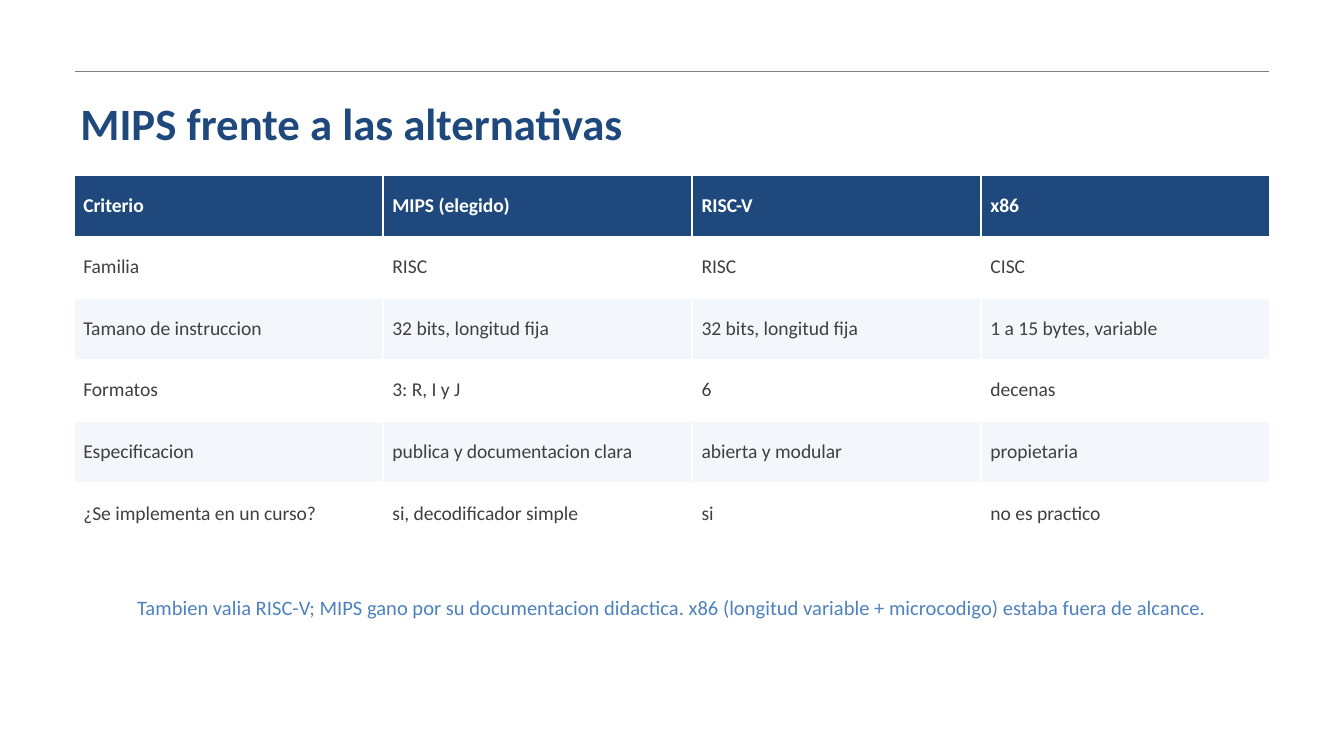
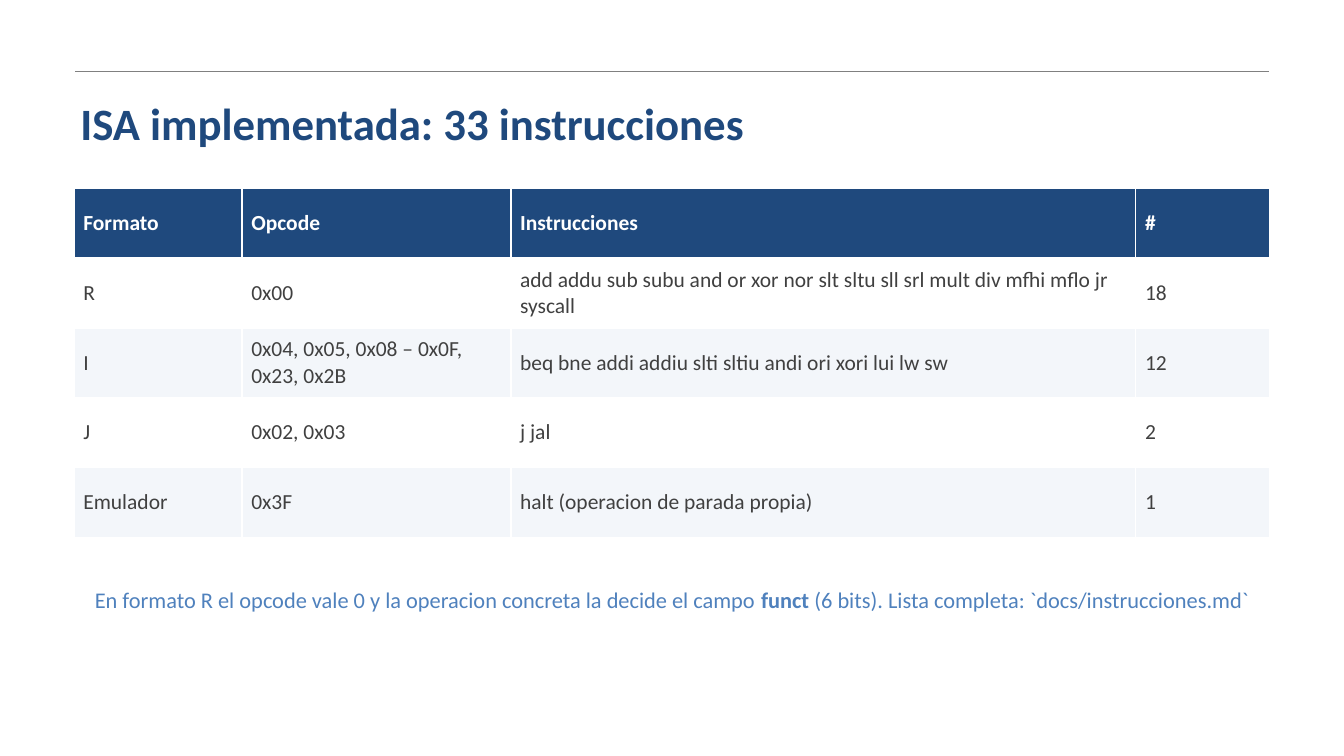
"""Build two slides that compare MIPS with its rivals and list its instruction set."""
from dataclasses import dataclass

from pptx import Presentation
from pptx import util as u
from pptx.dml import color
from pptx.enum import shapes, text
from pptx.oxml import ns
from lxml import etree


@dataclass(frozen=True)
class Theme:
    font: str = "Calibri"
    navy: str = "1F497D"
    blue: str = "4F81BD"
    body: str = "404040"
    rule: str = "808080"
    white: str = "FFFFFF"
    band: str = "F3F6FA"
    title_size: float = 24
    title_leading: float = 26
    note_leading: float = 1.05
    rule_width: float = 0.75
    left: float = 0.55
    width: float = 8.9


class SlideBuilder:
    def __init__(self, deck, theme):
        self.deck = deck
        self.theme = theme
        self.page = None

    def start(self, title):
        self.page = self.deck.slides.add_slide(self.deck.slide_layouts[6])
        self.rule(0.56, 9.44, 0.53)
        self.title(title)

    def style(self, paragraph, size, hue, bold=None):
        font = paragraph.font
        font.name = self.theme.font
        font.size = u.Pt(size)
        font.color.rgb = color.RGBColor.from_string(hue)
        font.bold = bold

    def rule(self, left, right, top):
        line = self.page.shapes.add_connector(
            shapes.MSO_CONNECTOR.STRAIGHT,
            u.Inches(left), u.Inches(top), u.Inches(right), u.Inches(top))
        line.line.color.rgb = color.RGBColor.from_string(self.theme.rule)
        line.line.width = u.Pt(self.theme.rule_width)
        etree.SubElement(line._element.spPr, ns.qn("a:effectLst"))

    def text_box(self, left, top, width, height):
        box = self.page.shapes.add_textbox(
            u.Inches(left), u.Inches(top), u.Inches(width), u.Inches(height))
        box.text_frame.word_wrap = True
        return box.text_frame

    def title(self, words):
        frame = self.text_box(0.5, 0.75, 9, 0.37)
        frame.vertical_anchor = text.MSO_ANCHOR.MIDDLE
        paragraph = frame.paragraphs[0]
        paragraph.text = words
        paragraph.line_spacing = u.Pt(self.theme.title_leading)
        self.style(paragraph, self.theme.title_size, self.theme.navy, True)

    def table(self, top, height, widths, size, rows):
        grid = self.page.shapes.add_table(
            len(rows), len(widths), u.Inches(self.theme.left), u.Inches(top),
            u.Inches(self.theme.width), u.Inches(height)).table
        for column, width in zip(grid.columns, widths):
            column.width = u.Inches(width)
        for index, values in enumerate(rows):
            for cell, value in zip(grid.rows[index].cells, values):
                self.cell(cell, value, size, index)

    def cell(self, cell, value, size, index):
        header = index == 0
        stripe = self.theme.white if index % 2 else self.theme.band
        cell.fill.solid()
        cell.fill.fore_color.rgb = color.RGBColor.from_string(
            self.theme.navy if header else stripe)
        cell.vertical_anchor = text.MSO_ANCHOR.MIDDLE
        cell.margin_left, cell.margin_right = u.Inches(0.07), u.Inches(0.06)
        cell.margin_top = cell.margin_bottom = u.Inches(0.03)
        paragraph = cell.text_frame.paragraphs[0]
        paragraph.text = value
        self.style(paragraph, size, self.theme.white if header else self.theme.body, header)

    def note(self, top, height, size, *spans):
        frame = self.text_box(self.theme.left, top, self.theme.width, height)
        frame.auto_size = text.MSO_AUTO_SIZE.SHAPE_TO_FIT_TEXT
        frame.margin_left = frame.margin_right = 0
        frame.margin_top = frame.margin_bottom = 0
        paragraph = frame.paragraphs[0]
        paragraph.alignment = text.PP_ALIGN.CENTER
        paragraph.line_spacing = self.theme.note_leading
        self.style(paragraph, size, self.theme.blue)
        for words, bold in spans:
            span = paragraph.add_run()
            span.text = words
            span.font.bold = bold


def main():
    deck = Presentation()
    deck.slide_width, deck.slide_height = u.Inches(10), u.Inches(10 * 9 / 16)
    builder = SlideBuilder(deck, Theme())

    builder.start("MIPS frente a las alternativas")
    builder.table(1.3, 2.75, (2.3, 2.3, 2.15, 2.15), 10.5, (
        ("Criterio", "MIPS (elegido)", "RISC-V", "x86"),
        ("Familia", "RISC", "RISC", "CISC"),
        ("Tamano de instruccion", "32 bits, longitud fija",
         "32 bits, longitud fija", "1 a 15 bytes, variable"),
        ("Formatos", "3: R, I y J", "6", "decenas"),
        ("Especificacion", "publica y documentacion clara",
         "abierta y modular", "propietaria"),
        ("¿Se implementa en un curso?", "si, decodificador simple",
         "si", "no es practico"),
    ))
    builder.note(4.42, 0.5, 11, (
        "Tambien valia RISC-V; MIPS gano por su documentacion didactica. "
        "x86 (longitud variable + microcodigo) estaba fuera de alcance.", False))

    builder.start("ISA implementada: 33 instrucciones")
    builder.table(1.4, 2.6, (1.25, 2, 4.65, 1), 11.5, (
        ("Formato", "Opcode", "Instrucciones", "#"),
        ("R", "0x00", "add addu sub subu and or xor nor slt sltu sll srl "
         "mult div mfhi mflo jr syscall", "18"),
        ("I", "0x04, 0x05, 0x08 – 0x0F, 0x23, 0x2B",
         "beq bne addi addiu slti sltiu andi ori xori lui lw sw", "12"),
        ("J", "0x02, 0x03", "j jal", "2"),
        ("Emulador", "0x3F", "halt (operacion de parada propia)", "1"),
    ))
    builder.note(
        4.35, 0.8, 12,
        ("En formato R el opcode vale 0 y la operacion concreta la decide el campo ", False),
        ("funct", True),
        (" (6 bits). Lista completa: `docs/instrucciones.md`", False))

    deck.save("out.pptx")


if __name__ == "__main__":
    main()
